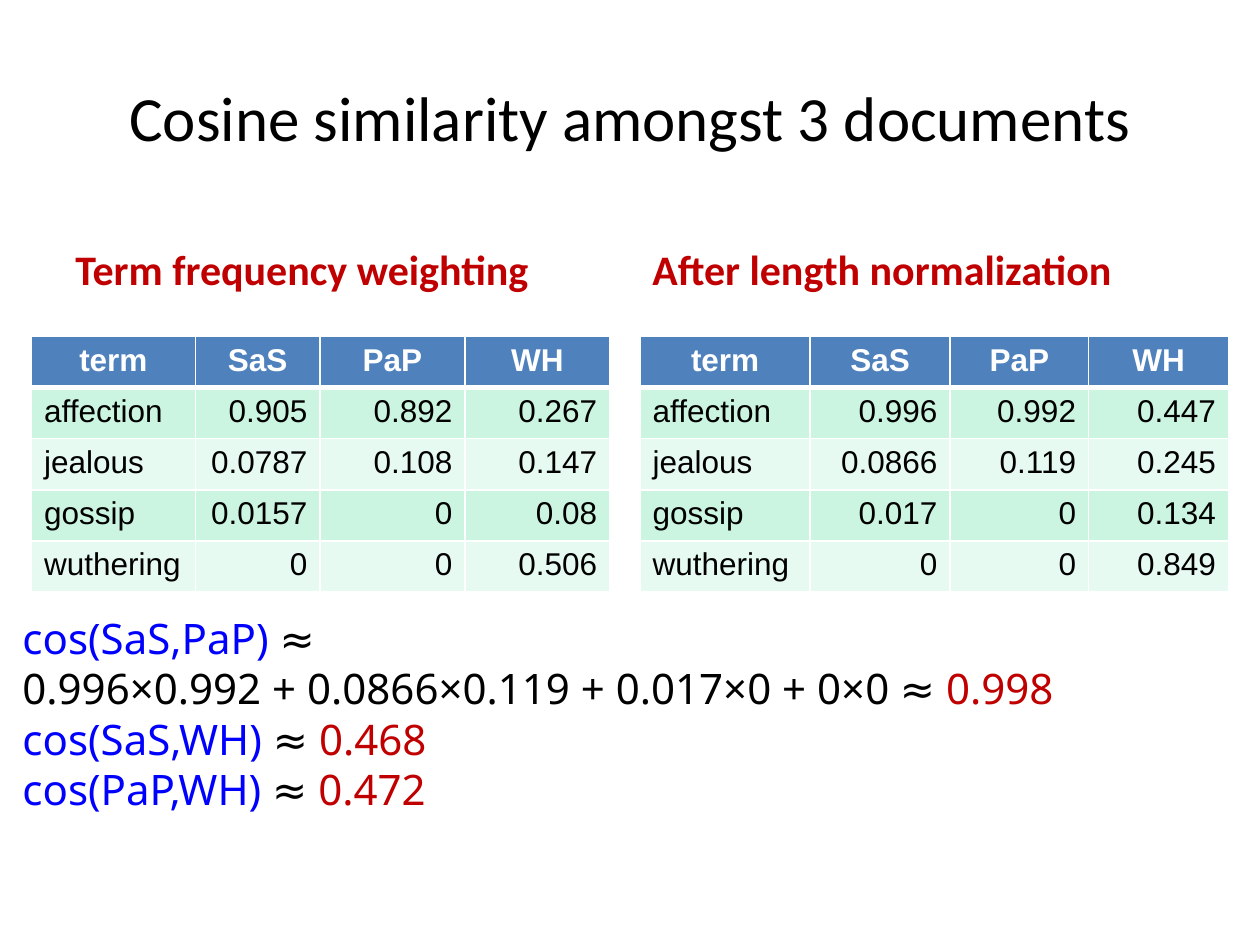
from dataclasses import dataclass

from lxml import etree
from pptx import Presentation
from pptx.dml.color import RGBColor
from pptx.enum.text import MSO_ANCHOR, PP_ALIGN
from pptx.oxml.ns import qn
from pptx.util import Inches, Pt

LEFT, CENTER, RIGHT = PP_ALIGN.LEFT, PP_ALIGN.CENTER, PP_ALIGN.RIGHT
TOP, MIDDLE, BOTTOM = MSO_ANCHOR.TOP, MSO_ANCHOR.MIDDLE, MSO_ANCHOR.BOTTOM

BLACK = RGBColor(0x00, 0x00, 0x00)
WHITE = RGBColor(0xFF, 0xFF, 0xFF)
RED = RGBColor(0xC0, 0x00, 0x00)
BLUE = RGBColor(0x00, 0x00, 0xFF)
HEADER_BLUE = RGBColor(0x4F, 0x81, 0xBD)
BAND_GREENS = (RGBColor(0xCB, 0xF5, 0xE1), RGBColor(0xE7, 0xFA, 0xF1))

HEADER = ("term", "SaS", "PaP", "WH")
TABLE_TOP, ROW_HEIGHT = 2.67, 0.406


@dataclass(frozen=True)
class Weighting:
    heading: str
    heading_left: float
    table_left: float
    column_widths: tuple[float, ...]
    rows: tuple[tuple[str, ...], ...]


WEIGHTINGS = (
    Weighting(
        "Term frequency weighting", 0.5, 0.25, (1.3, 0.99, 1.15, 1.15),
        (
            ("affection", "0.905", "0.892", "0.267"),
            ("jealous", "0.0787", "0.108", "0.147"),
            ("gossip", "0.0157", "0", "0.08"),
            ("wuthering", "0", "0", "0.506"),
        ),
    ),
    Weighting(
        "After length normalization", 5.08, 5.08, (1.35, 1.11, 1.1, 1.11),
        (
            ("affection", "0.996", "0.992", "0.447"),
            ("jealous", "0.0866", "0.119", "0.245"),
            ("gossip", "0.017", "0", "0.134"),
            ("wuthering", "0", "0", "0.849"),
        ),
    ),
)

COSINES = (
    (("cos(SaS,PaP) ", BLUE), ("≈", BLACK)),
    (("0.996×0.992 + 0.0866×0.119 + 0.017×0 + 0×0 ≈ ", BLACK), ("0.998", RED)),
    (("cos(SaS,WH)", BLUE), (" ≈ ", BLACK), ("0.468", RED)),
    (("cos(PaP,WH) ", BLUE), ("≈ ", BLACK), ("0.472", RED)),
)


def style(paragraph, font_name: str, size: int, color: RGBColor,
          bold: bool = False, align: PP_ALIGN = LEFT) -> None:
    paragraph.alignment = align
    font = paragraph.font
    font.name, font.size, font.bold = font_name, Pt(size), bold
    font.color.rgb = color


def add_text_frame(slide, left: float, top: float, width: float, height: float,
                   anchor: MSO_ANCHOR):
    frame = slide.shapes.add_textbox(
        Inches(left), Inches(top), Inches(width), Inches(height)).text_frame
    frame.word_wrap = True
    frame.vertical_anchor = anchor
    return frame


def set_border(cell, side: str, points: int) -> None:
    properties = cell._tc.get_or_add_tcPr()
    line = etree.SubElement(properties, qn(f"a:ln{side}"), w=str(Pt(points)))
    fill = etree.SubElement(line, qn("a:solidFill"))
    etree.SubElement(fill, qn("a:srgbClr"), val=str(WHITE))


def fill_cell(cell, text: str, row: int, column: int) -> None:
    is_header = row == 0
    for side in "LRTB":
        under_header = (side, row) in (("B", 0), ("T", 1))
        set_border(cell, side, 3 if under_header else 1)
    cell.fill.solid()
    cell.fill.fore_color.rgb = HEADER_BLUE if is_header else BAND_GREENS[(row - 1) % 2]
    cell.text = text
    align = CENTER if is_header else RIGHT if column else LEFT
    style(cell.text_frame.paragraphs[0], "Arial", 18,
          WHITE if is_header else BLACK, is_header, align)


def add_weighting(slide, weighting: Weighting) -> None:
    heading = add_text_frame(slide, weighting.heading_left, 1.68, 4.42, 0.7, BOTTOM)
    heading.text = weighting.heading
    style(heading.paragraphs[0], "Calibri", 24, RED, bold=True)

    rows = (HEADER, *weighting.rows)
    table = slide.shapes.add_table(
        len(rows), len(HEADER), Inches(weighting.table_left), Inches(TABLE_TOP),
        Inches(sum(weighting.column_widths)), Inches(ROW_HEIGHT * len(rows))).table
    for column, width in zip(table.columns, weighting.column_widths):
        column.width = Inches(width)
    for row, values in enumerate(rows):
        for column, value in enumerate(values):
            fill_cell(table.cell(row, column), value, row, column)


def add_cosines(slide) -> None:
    frame = add_text_frame(slide, 0.08, 4.81, 9.66, 1.72, TOP)
    for index, pieces in enumerate(COSINES):
        paragraph = frame.add_paragraph() if index else frame.paragraphs[0]
        paragraph.font.name, paragraph.font.size = "Noto Sans", Pt(24)
        paragraph.line_spacing = Pt(28.8)
        for text, color in pieces:
            run = paragraph.add_run()
            run.text = text
            run.font.color.rgb = color


def main() -> None:
    presentation = Presentation()
    presentation.slide_width, presentation.slide_height = Inches(10), Inches(7.5)
    slide = presentation.slides.add_slide(presentation.slide_layouts[6])

    title = add_text_frame(slide, 0.5, 0.3, 9, 1.25, MIDDLE)
    title.text = "Cosine similarity amongst 3 documents"
    style(title.paragraphs[0], "Calibri", 36, BLACK, align=CENTER)
    for weighting in WEIGHTINGS:
        add_weighting(slide, weighting)
    add_cosines(slide)
    presentation.save("out.pptx")


if __name__ == "__main__":
    main()
